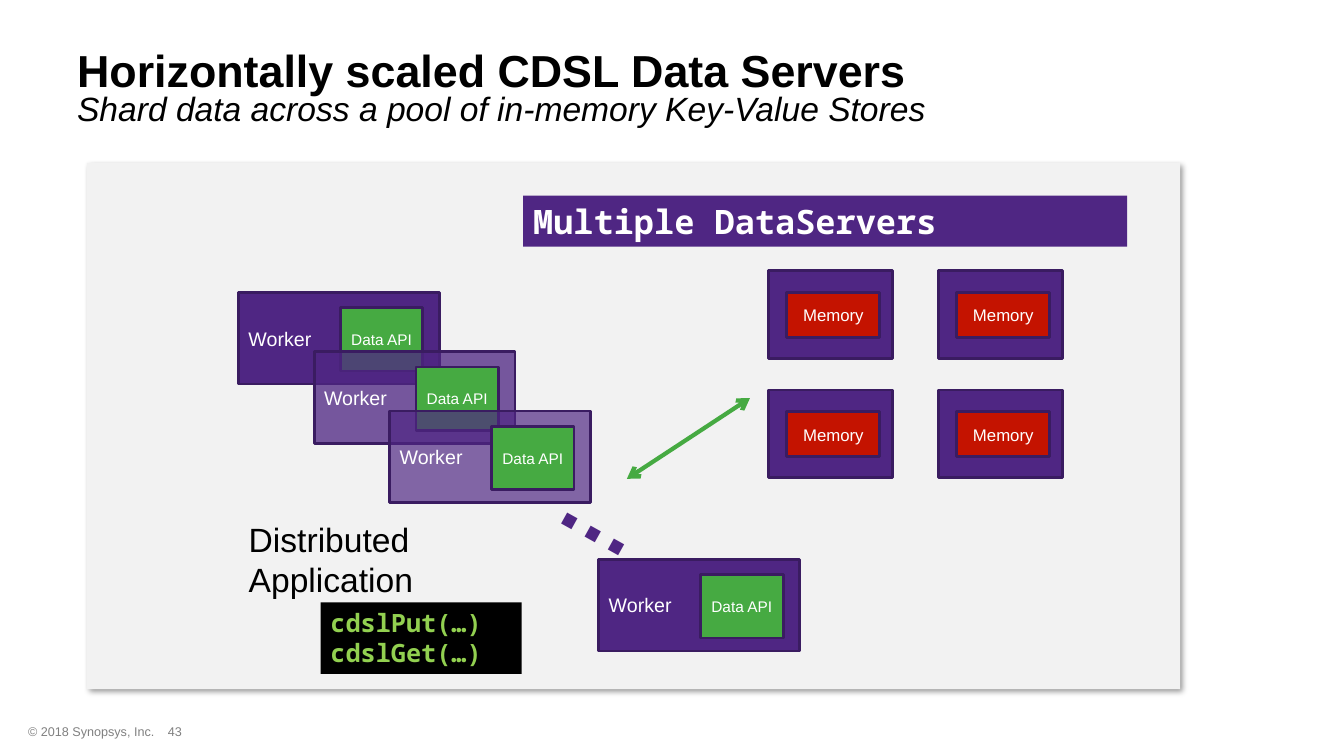
import itertools

import lxml.etree
import pptx
import pptx.dml.color
import pptx.enum.shapes
import pptx.enum.text
import pptx.oxml.ns
import pptx.util

Pt = pptx.util.Pt
qn = pptx.oxml.ns.qn
RECTANGLE = pptx.enum.shapes.MSO_SHAPE.RECTANGLE
LEFT, CENTER = pptx.enum.text.PP_ALIGN.LEFT, pptx.enum.text.PP_ALIGN.CENTER
TOP, MIDDLE = pptx.enum.text.MSO_ANCHOR.TOP, pptx.enum.text.MSO_ANCHOR.MIDDLE


class Theme:
    black, white, grey = "000000", "FFFFFF", "808080"
    panel, purple, outline = "F2F2F2", "4F2683", "3A1C61"
    green, red, code = "46AA42", "C41300", "92D050"
    sans, mono = "Arial", "Noto Sans Mono"
    title = dict(name=sans, size=Pt(32), bold=True)
    subtitle = dict(name=sans, size=Pt(24), italic=True)
    caption = dict(name=sans, size=Pt(24))
    banner = dict(name=mono, size=Pt(24), bold=True)
    code_text = dict(name=mono, size=Pt(18), bold=True)
    worker = dict(name=sans, size=Pt(14))
    memory = dict(name=sans, size=Pt(12))
    api = dict(name=sans, size=Pt(11))
    footer = dict(name=sans, size=Pt(9))
    dots = dict(name=sans, size=Pt(60), bold=True)


class SlideBuilder:
    def __init__(self, slide, theme):
        self.slide = slide
        self.theme = theme

    def color(self, value):
        return pptx.dml.color.RGBColor.from_string(value)

    def label(self, shape, text, font, color, align=LEFT, anchor=TOP):
        frame = shape.text_frame
        frame.word_wrap = True
        frame.vertical_anchor = anchor
        if align == CENTER:
            frame.margin_left = frame.margin_right = 0
        frame.text = text
        for paragraph in frame.paragraphs:
            paragraph.alignment = align
            for name, value in font.items():
                setattr(paragraph.font, name, value)
            paragraph.font.color.rgb = self.color(color)

    def text(self, box, text, font, color=Theme.black, rotation=0, **layout):
        shape = self.slide.shapes.add_textbox(*map(Pt, box))
        shape.rotation = rotation
        self.label(shape, text, font, color, **layout)

    def rectangle(self, box, fill, line=None, opacity=100):
        shape = self.slide.shapes.add_shape(RECTANGLE, *map(Pt, box))
        shape.shadow.inherit = False
        shape.fill.solid()
        shape.fill.fore_color.rgb = self.color(fill)
        if line:
            shape.line.color.rgb = self.color(line)
            shape.line.width = Pt(2)
        else:
            shape.line.fill.background()
        if opacity < 100:
            color = shape._element.spPr.find(qn("a:solidFill")).find(qn("a:srgbClr"))
            lxml.etree.SubElement(color, qn("a:alpha"), val=str(opacity * 1000))
        return shape

    def panel(self, box):
        shape = self.rectangle(box, self.theme.panel)
        effects = shape._element.spPr.find(qn("a:effectLst"))
        shadow = lxml.etree.SubElement(
            effects, qn("a:outerShdw"), blurRad=str(Pt(4)), dist=str(Pt(3)),
            dir=str(45 * 60000), algn="tl", rotWithShape="0")
        color = lxml.etree.SubElement(shadow, qn("a:srgbClr"), val=self.theme.black)
        lxml.etree.SubElement(color, qn("a:alpha"), val="40000")

    def worker(self, left, top, opacity=100):
        theme = self.theme
        body = self.rectangle((left, top, 143.5, 65.5), theme.purple, theme.outline, opacity)
        self.label(body, "Worker", theme.worker, theme.white, anchor=MIDDLE)
        api = self.rectangle((left + 72.7, top + 11, 59, 45.2), theme.green, theme.outline)
        self.label(api, "Data API", theme.api, theme.white, CENTER, MIDDLE)

    def data_server(self, left, top):
        theme = self.theme
        self.rectangle((left, top, 88.6, 62.8), theme.purple, theme.outline)
        memory = self.rectangle((left + 13.3, top + 15.6, 66.4, 32.2), theme.red, theme.outline)
        self.label(memory, "Memory", theme.memory, theme.white, CENTER, MIDDLE)

    def double_arrow(self, start, end):
        connector = self.slide.shapes.add_connector(
            pptx.enum.shapes.MSO_CONNECTOR.STRAIGHT, *map(Pt, start + end))
        connector.line.color.rgb = self.color(self.theme.green)
        connector.line.width = Pt(3)
        properties = connector._element.spPr
        line = properties.find(qn("a:ln"))
        for tip in ("a:headEnd", "a:tailEnd"):
            lxml.etree.SubElement(line, qn(tip), type="arrow")
        lxml.etree.SubElement(properties, qn("a:effectLst"))


def main():
    presentation = pptx.Presentation()
    presentation.slide_width, presentation.slide_height = Pt(960), Pt(540)
    slide = presentation.slides.add_slide(presentation.slide_layouts[6])
    theme = Theme()
    builder = SlideBuilder(slide, theme)

    # Footer and headings
    builder.text((13, 513.4, 296, 18), "© 2018 Synopsys, Inc.", theme.footer, theme.grey)
    builder.text((91.4, 513.4, 67, 18), "43", theme.footer, theme.grey, align=CENTER)
    builder.text((48, 5, 912, 90), "Horizontally scaled CDSL Data Servers",
                 theme.title, anchor=MIDDLE)
    builder.text((48, 59, 647, 36), "Shard data across a pool of in-memory Key-Value Stores",
                 theme.subtitle)

    # Panel and banner
    builder.panel((62, 116.4, 781, 376))
    banner = builder.rectangle((373.7, 139.8, 431.4, 36.4), theme.purple)
    builder.label(banner, "Multiple DataServers", theme.banner, theme.white)

    # Overlapping workers, then the last one after the dots
    for index, opacity in enumerate((100, 76, 69)):
        builder.worker(170.4 + 54 * index, 208.8 + 42.4 * index, opacity)
    builder.text((395.3, 326.9, 80, 80), "…", theme.dots, theme.purple, rotation=29.2)
    builder.worker(427.7, 399.5)
    builder.text((170.6, 367.2, 161.3, 65.4), "Distributed Application", theme.caption)

    # Link to the grid of data servers
    builder.double_arrow((447.8, 342), (535.7, 284.4))
    for column, row in itertools.product(range(2), range(2)):
        builder.data_server(548.8 + 121.4 * column, 193.2 + 85.4 * row)

    # Calls made by the application
    calls = builder.rectangle((229, 430.3, 143.6, 51), theme.black)
    builder.label(calls, "cdslPut(…)\ncdslGet(…)", theme.code_text, theme.code)

    presentation.save("out.pptx")


if __name__ == "__main__":
    main()
